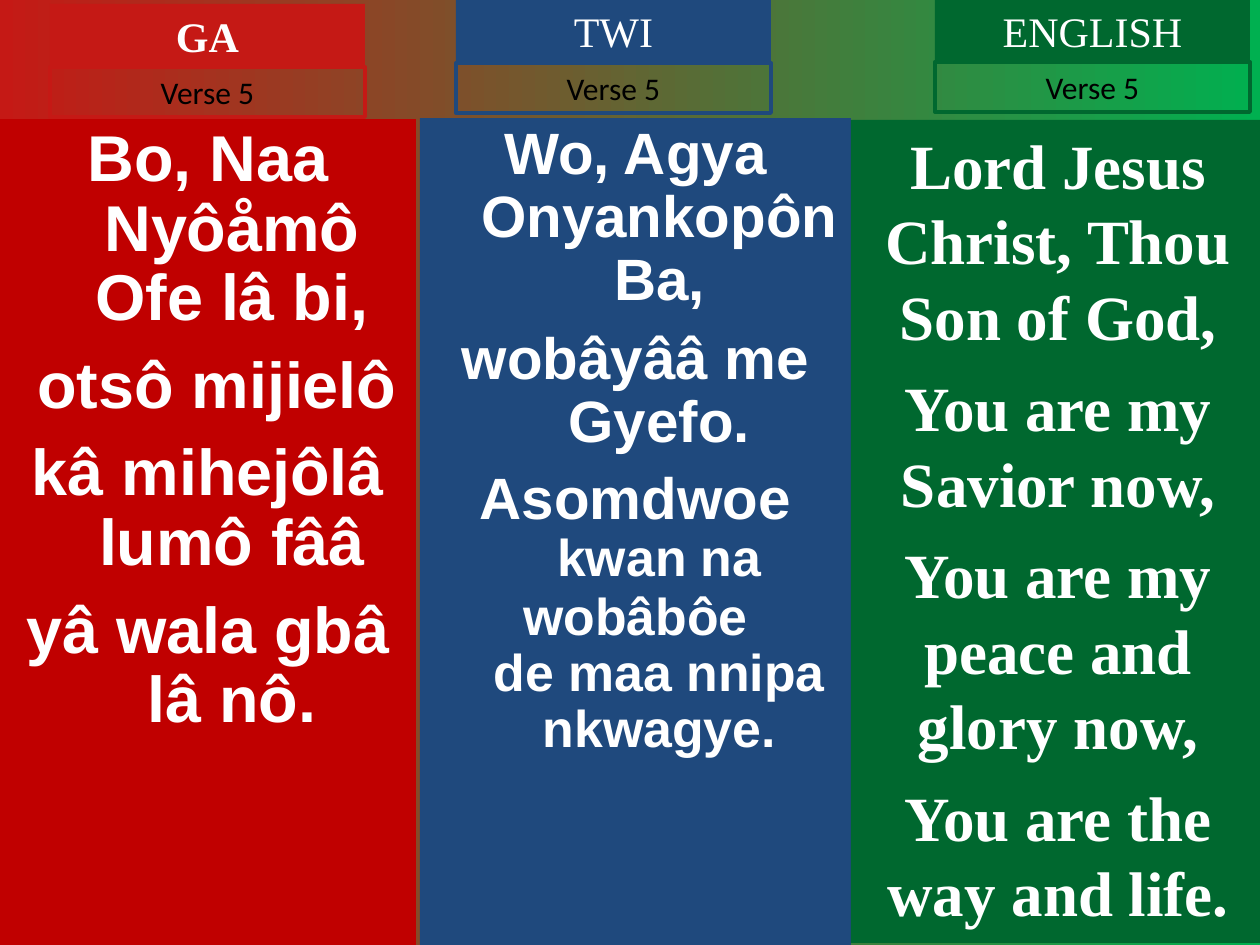
"""Build a hymn verse slide with Ga, Twi and English side by side."""
import pptx
import pptx.dml.color
import pptx.enum.shapes
import pptx.enum.text
import pptx.util

PX_PER_INCH = 126
HANGING = 48
BACKGROUND = ("C51915", "00B050")
WHITE, BLACK = "FFFFFF", "000000"
SERIF, SANS, LABEL_FONT = "Times New Roman", "Arial", "Calibri"

LANGUAGES = [
    {
        "name": "GA", "name_bold": True, "color": "C51915",
        "name_at": (50, 4), "verse_at": (50, 67),
        "panel": (0, 119, 416, 826), "panel_color": "C00000",
        "font": SANS, "hanging": True,
        "lines": [
            (0, [("Bo, Naa Nyôåmô Ofe lâ bi,", 37)]),
            (10, [(" otsô mijielô", 37)]),
            (10, [("kâ mihejôlâ lumô fââ", 37)]),
            (10, [("yâ wala gbâ lâ nô.", 37)]),
        ],
    },
    {
        "name": "TWI", "name_bold": False, "color": "1F497D",
        "name_at": (456, -1), "verse_at": (456, 63),
        "panel": (420, 118, 431, 827), "panel_color": "1F497D",
        "font": SANS, "hanging": True,
        "lines": [
            (0, [("Wo, Agya Onyankopôn Ba,", 33.3)]),
            (9, [("wobâyââ me Gyefo.", 33.3)]),
            (8, [("Asomdwoe ", 33.3), ("kwan na", 29.6)]),
            (2, [("wobâbôe", 29.6), ("\n", 29.6), ("de maa nnipa nkwagye.", 29.6)]),
        ],
    },
    {
        "name": "ENGLISH", "name_bold": False, "color": "00682F",
        "name_at": (935, -1), "verse_at": (935, 62),
        "panel": (851, 120, 414, 823), "panel_color": "00682F",
        "font": SERIF, "hanging": False,
        "lines": [
            (0, [("Lord Jesus Christ, Thou Son of God,", 36)]),
            (9, [("You are my Savior now,", 36)]),
            (9, [("You are my peace and glory now,", 36)]),
            (9, [("You are the way and life.", 36)]),
        ],
    },
]
NAME_SIZE = (315, 63)
VERSE_SIZE = (315, 50)
VERSE = "Verse 5"


def px(length):
    return pptx.util.Emu(round(length * 914400 / PX_PER_INCH))


def rgb(color):
    return pptx.dml.color.RGBColor.from_string(color)


def add_box(slide, box, fill=None, border=None):
    rectangle = slide.shapes.add_shape(
        pptx.enum.shapes.MSO_SHAPE.RECTANGLE, *map(px, box))
    rectangle.shadow.inherit = False
    if fill:
        rectangle.fill.solid()
        rectangle.fill.fore_color.rgb = rgb(fill)
    else:
        rectangle.fill.background()
    if border:
        rectangle.line.color.rgb = rgb(border)
        rectangle.line.width = pptx.util.Pt(2.25)
    else:
        rectangle.line.fill.background()
    frame = rectangle.text_frame
    frame.word_wrap = True
    frame.vertical_anchor = pptx.enum.text.MSO_ANCHOR.TOP
    return frame


def write(frame, lines, font, color, bold=False, hanging=False):
    for index, (space, runs) in enumerate(lines):
        paragraph = frame.add_paragraph() if index else frame.paragraphs[0]
        paragraph.alignment = pptx.enum.text.PP_ALIGN.CENTER
        if space:
            paragraph.space_before = pptx.util.Pt(space)
        if hanging:
            paragraph.line_spacing = 0.9
            properties = paragraph._p.get_or_add_pPr()
            properties.set("marL", str(px(HANGING)))
            properties.set("indent", str(px(-HANGING)))
        for text, size in runs:
            if text == "\n":
                paragraph.add_line_break()
                continue
            run = paragraph.add_run()
            run.text = text
            run.font.name = font
            run.font.size = pptx.util.Pt(size)
            run.font.bold = bold
            run.font.color.rgb = rgb(color)


def main():
    deck = pptx.Presentation()
    deck.slide_width, deck.slide_height = px(1260), px(945)
    slide = deck.slides.add_slide(deck.slide_layouts[6])

    backdrop = slide.background.fill
    backdrop.gradient()
    backdrop.gradient_angle = 0
    for stop, color in zip(backdrop.gradient_stops, BACKGROUND):
        stop.color.rgb = rgb(color)

    for language in LANGUAGES:
        panel = add_box(slide, language["panel"], fill=language["panel_color"])
        write(panel, language["lines"], language["font"], WHITE,
              bold=True, hanging=language["hanging"])

    for language in LANGUAGES:
        name = add_box(slide, language["name_at"] + NAME_SIZE, fill=language["color"])
        write(name, [(0, [(language["name"], 24)])], SERIF, WHITE,
              bold=language["name_bold"])
        verse = add_box(slide, language["verse_at"] + VERSE_SIZE, border=language["color"])
        write(verse, [(0, [(VERSE, 18)])], LABEL_FONT, BLACK)
        for frame in (name, verse):
            frame.auto_size = pptx.enum.text.MSO_AUTO_SIZE.SHAPE_TO_FIT_TEXT

    deck.save("out.pptx")


if __name__ == "__main__":
    main()
